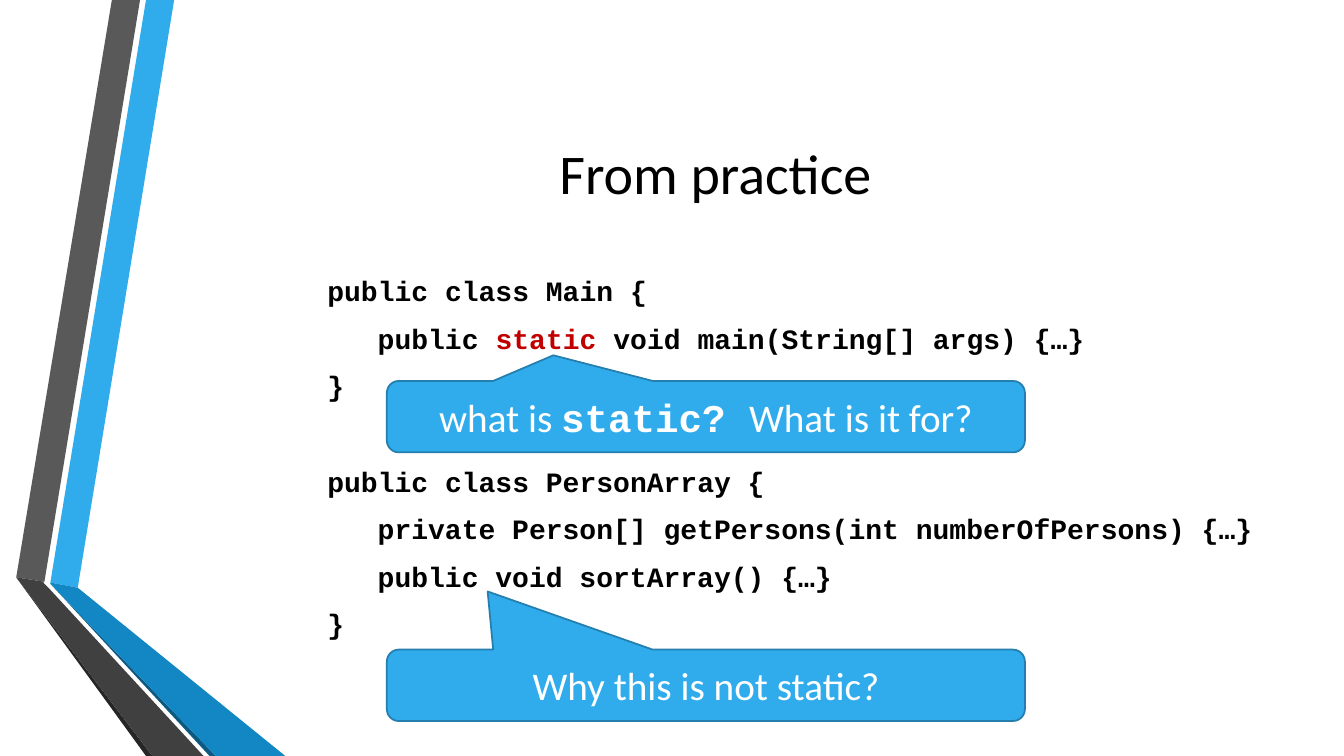
from pptx import Presentation
from pptx.util import Cm, Pt
from pptx.dml.color import RGBColor
from pptx.enum.shapes import MSO_SHAPE
from pptx.enum.text import MSO_ANCHOR, PP_ALIGN


def rgb(value):
    return RGBColor.from_string(value)


def add_runs(p, runs, size):
    for text, name, bold, color in runs:
        r = p.add_run()
        r.text = text
        for key, value in {"name": name, "bold": bold, "size": Pt(size)}.items():
            setattr(r.font, key, value)
        r.font.color.rgb = rgb(color)


SANS, MONO = "Calibri", "Courier New"
BLACK, WHITE, RED, BLUE = "000000", "FFFFFF", "C00000", "30ACEC"

prs = Presentation()
prs.slide_width, prs.slide_height = Cm(33.87), Cm(19.05)
s = prs.slides.add_slide(prs.slide_layouts[6])

ribbons = [
    (BLUE, [(127, 1468), (196, 1481), (439, 0), (368, 0)]),
    ("595959", [(353, 0), (282, 0), (41, 1455), (112, 1466)]),
    ("262626", [(41, 1455), (368, 1905), (384, 1905)]),
    ("0C5A82", [(127, 1471), (528, 1905), (544, 1905)]),
    ("1287C3", [(127, 1471), (544, 1905), (719, 1905), (196, 1481), (127, 1468)]),
    ("404040", [(513, 1905), (122, 1481), (109, 1468), (112, 1466), (41, 1455), (384, 1905)]),
]
for color, points in ribbons:
    fb = s.shapes.build_freeform(*points[0], scale=Cm(0.01))
    fb.add_line_segments(points[1:])
    sp = fb.convert_to_shape()
    sp.shadow.inherit = False
    sp.fill.solid()
    sp.fill.fore_color.rgb = rgb(color)
    sp.line.fill.background()

title = s.shapes.add_textbox(Cm(4.11), Cm(1.9), Cm(27.84), Cm(4.88))
tf = title.text_frame
tf.word_wrap = True
tf.vertical_anchor = MSO_ANCHOR.MIDDLE
p = tf.paragraphs[0]
p.alignment = PP_ALIGN.CENTER
add_runs(p, [("From practice", SANS, False, BLACK)], 40)

code = [
    (0, 0, [("public class Main {", BLACK)]),
    (1, 4, [("public ", BLACK), ("static ", RED), ("void main(String[] args) {…}", BLACK)]),
    (0, 4, [("}", BLACK)]),
    (0, 38, [("public class PersonArray {", BLACK)]),
    (1, 4, [("private Person[] getPersons(int numberOfPersons) {…}", BLACK)]),
    (1, 4, [("public void sortArray() {…}", BLACK)]),
    (0, 4, [("}", BLACK)]),
]
listing = s.shapes.add_textbox(Cm(8), Cm(6.77), Cm(25), Cm(9.75))
tf = listing.text_frame
tf.word_wrap = True
for i, (level, before, parts) in enumerate(code):
    p = tf.add_paragraph() if i else tf.paragraphs[0]
    p.space_before, p.space_after = Pt(before), Pt(6)
    p._p.get_or_add_pPr().set("marL", str(Cm(1.27) * level))
    add_runs(p, [(text, MONO, True, color) for text, color in parts], 20)

callouts = [
    (9.6, (-0.239, -0.859, 0.167), [
        ("what is ", SANS, False, WHITE),
        ("static? ", MONO, True, WHITE),
        ("What is it for?", SANS, False, WHITE),
    ]),
    (16.37, (-0.342, -1.314, 0.167), [("Why this is not static?", SANS, False, WHITE)]),
]
for top, adjustments, runs in callouts:
    sp = s.shapes.add_shape(MSO_SHAPE.ROUNDED_RECTANGULAR_CALLOUT, Cm(9.75), Cm(top), Cm(16.08), Cm(1.8))
    for i, value in enumerate(adjustments):
        sp.adjustments[i] = value
    sp.shadow.inherit = False
    sp.fill.solid()
    sp.fill.fore_color.rgb = rgb(BLUE)
    sp.line.color.rgb = rgb("247FAF")
    sp.line.width = Pt(1.25)
    tf = sp.text_frame
    tf.word_wrap = True
    tf.vertical_anchor = MSO_ANCHOR.MIDDLE
    p = tf.paragraphs[0]
    p.alignment = PP_ALIGN.CENTER
    add_runs(p, runs, 28)

prs.save("out.pptx")
